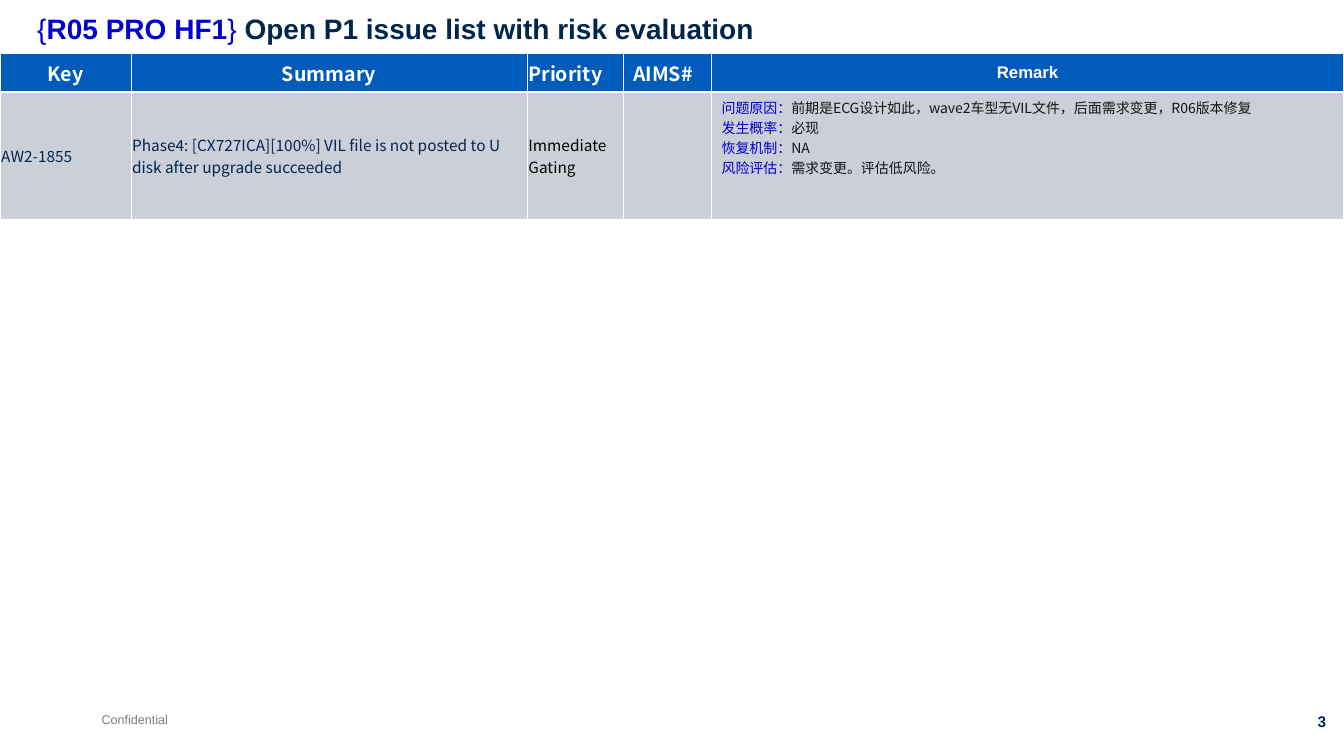
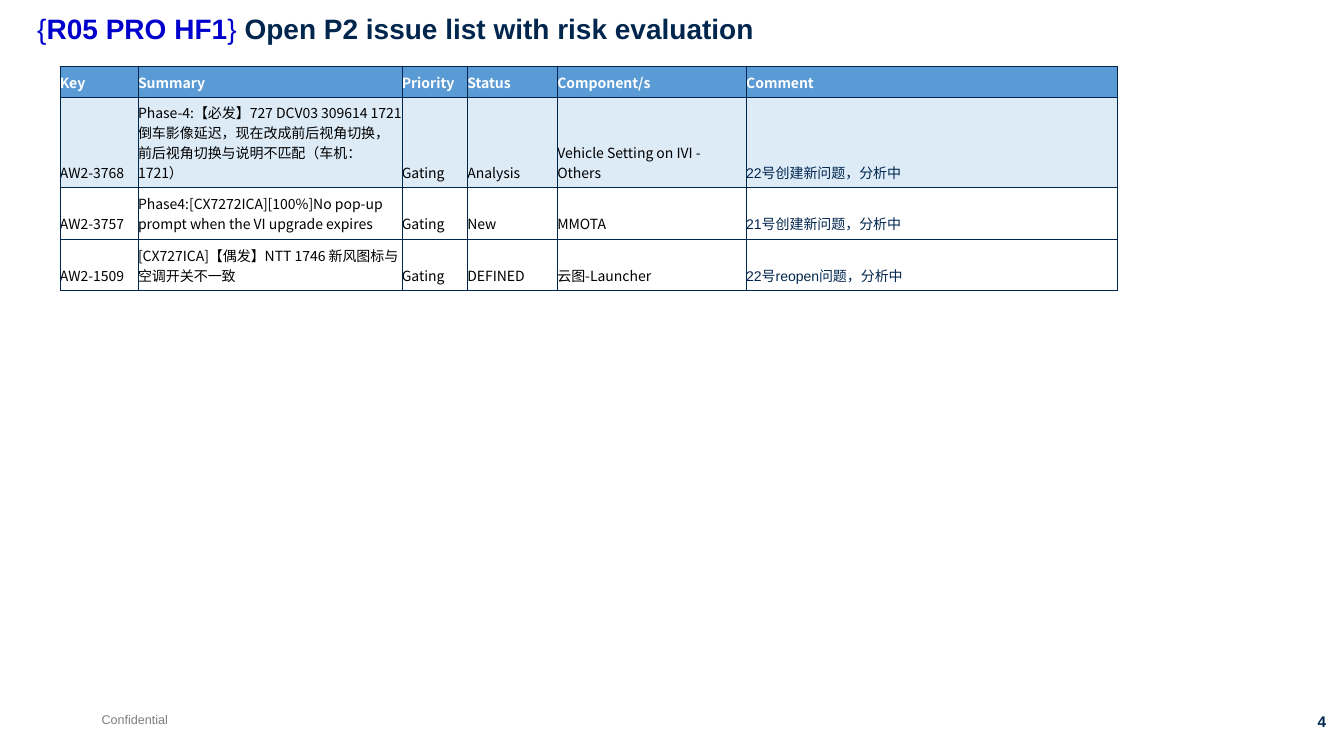
from lxml.etree import SubElement
from pptx import Presentation
from pptx.dml.color import RGBColor
from pptx.enum.text import MSO_ANCHOR, MSO_AUTO_SIZE, PP_ALIGN
from pptx.oxml import parse_xml
from pptx.oxml.ns import nsdecls, qn
from pptx.util import Cm, Pt

NAVY = RGBColor(0x00, 0x26, 0x4E)
BRIGHT_BLUE = RGBColor(0x00, 0x00, 0xCC)
HEADER_BLUE = RGBColor(0x00, 0x5B, 0xBA)
SOFT_BLUE = RGBColor(0x5B, 0x9B, 0xD5)
PALE_BLUE = RGBColor(0xDD, 0xEB, 0xF7)
SILVER = RGBColor(0xCB, 0xCF, 0xD8)
GREY = RGBColor(0x7F, 0x7F, 0x7F)
INK = RGBColor(0x13, 0x14, 0x16)
BLACK = RGBColor(0x00, 0x00, 0x00)
WHITE = RGBColor(0xFF, 0xFF, 0xFF)

LATIN = "Arial"
CJK = "Noto Sans CJK SC"
THIN, THICK = 0.45, 1.47
PAD = 0.25


def write(frame, text, align=PP_ALIGN.LEFT, line_spacing=None, **style):
    """Fill a frame from a string, or from lines of (text, style changes) pairs."""
    lines = [[(text, {})]] if isinstance(text, str) else text
    for index, line in enumerate(lines):
        paragraph = frame.add_paragraph() if index else frame.paragraphs[0]
        paragraph.alignment = align
        if line_spacing:
            paragraph.line_spacing = line_spacing
        for words, changes in line:
            look = {"font": LATIN, "bold": False, "color": NAVY, **style, **changes}
            run = paragraph.add_run()
            run.text = words
            run.font.size = Pt(look["size"])
            run.font.bold = look["bold"]
            run.font.color.rgb = look["color"]
            run.font.name = look["font"]
            SubElement(run.font._element, qn("a:ea"), typeface=CJK)


def set_borders(cell, color, **widths):
    """Draw the sides L, R, T and B, each with its width in points."""
    properties = cell._tc.get_or_add_tcPr()
    for index, side in enumerate("LRTB"):
        properties.insert(index, parse_xml(
            f'<a:ln{side} {nsdecls("a")} w="{Pt(widths[side])}">'
            f'<a:solidFill><a:srgbClr val="{color}"/></a:solidFill></a:ln{side}>'))


class IssueDeck:
    def __init__(self):
        self.prs = Presentation()
        self.prs.slide_width, self.prs.slide_height = Cm(33.88), Cm(19.05)
        self.slide = None

    def box(self, left, top, width, height, text, wrap=False, **style):
        frame = self.slide.shapes.add_textbox(
            Cm(left), Cm(top), Cm(width), Cm(height)).text_frame
        frame.word_wrap = wrap
        frame.auto_size = MSO_AUTO_SIZE.NONE if wrap else MSO_AUTO_SIZE.SHAPE_TO_FIT_TEXT
        write(frame, text, **style)

    def new_slide(self, number, title):
        self.slide = self.prs.slides.add_slide(self.prs.slide_layouts[6])
        self.box(2.31, 17.81, 2.18, 0.64, "Confidential", size=9, color=GREY)
        self.box(31.29, 17.81, 2.39, 0.74, str(number), size=11, bold=True,
                 align=PP_ALIGN.RIGHT)
        heading = [("{", {"color": BRIGHT_BLUE}),
                   ("R05 PRO HF1", {"color": BRIGHT_BLUE, "bold": True}),
                   ("} ", {"color": BRIGHT_BLUE}),
                   (title, {"bold": True})]
        self.box(0.69, 0.25, 30.1, 1.6, [heading], wrap=True, size=20, line_spacing=0.9)

    def table(self, left, top, widths, heights, rows, fills, style_of, border, rule):
        """style_of(row, column) gives anchor, side margin and text style of a cell;
        rule is the width of the line under the header."""
        grid = self.slide.shapes.add_table(
            len(rows), len(widths), Cm(left), Cm(top),
            Cm(sum(widths)), Cm(sum(heights))).table
        grid.horz_banding = False
        for column, width in zip(grid.columns, widths):
            column.width = Cm(width)
        for row, height in zip(grid.rows, heights):
            row.height = Cm(height)
        for r, (texts, fill) in enumerate(zip(rows, fills)):
            for c, text in enumerate(texts):
                cell = grid.cell(r, c)
                anchor, margin, style = style_of(r, c)
                cell.vertical_anchor = anchor
                cell.margin_left = cell.margin_right = Cm(margin)
                if fill is None:
                    cell.fill.background()
                else:
                    cell.fill.solid()
                    cell.fill.fore_color.rgb = fill
                if text:
                    write(cell.text_frame, text, **style)
                set_borders(cell, border, L=THIN, R=THIN,
                            T=rule if r == 1 else THIN, B=rule if r == 0 else THIN)


def p1_style(row, column):
    remark = column == 4
    margin = PAD if column >= 3 else 0.03
    if row == 0:
        align = PP_ALIGN.CENTER if column in (0, 1, 4) else PP_ALIGN.LEFT
        style = dict(size=12 if remark else 14, font=LATIN if remark else CJK,
                     color=WHITE, bold=True, align=align)
        return MSO_ANCHOR.MIDDLE, margin, style
    if remark:
        return MSO_ANCHOR.TOP, margin, dict(size=10, font=CJK, color=INK)
    color = BLACK if column == 2 else NAVY
    return MSO_ANCHOR.MIDDLE, margin, dict(size=11, font=CJK, color=color)


def p2_style(row, column):
    if row == 0:
        style = dict(font=CJK, color=WHITE, bold=True)
    elif column == 5:
        style = dict(font=LATIN, color=NAVY)
    else:
        style = dict(font=CJK, color=BLACK)
    return MSO_ANCHOR.BOTTOM, 0, dict(size=10, **style)


def main():
    deck = IssueDeck()

    deck.new_slide(3, "Open P1 issue list with risk evaluation")
    remarks = [
        ("问题原因：", "前期是ECG设计如此，wave2车型无VIL文件，后面需求变更，R06版本修复"),
        ("发生概率：", "必现"),
        ("恢复机制：", "NA"),
        ("风险评估：", "需求变更。评估低风险。"),
    ]
    p1_issues = [
        ["Key", "Summary", "Priority", "AIMS#", "Remark"],
        ["AW2-1855",
         "Phase4: [CX727ICA][100%] VIL file is not posted to U disk after upgrade succeeded",
         "Immediate Gating", "",
         [[(label, {"color": BRIGHT_BLUE}), (detail, {})] for label, detail in remarks]],
    ]
    deck.table(0, 1.35, [3.3, 9.99, 2.42, 2.23, 15.93], [0.97, 3.2], p1_issues,
               [HEADER_BLUE, SILVER], p1_style, WHITE, THICK)

    deck.new_slide(4, "Open P2 issue list with risk evaluation")
    p2_issues = [
        ["Key", "Summary", "Priority", "Status", "Component/s", "Comment"],
        ["AW2-3768",
         "Phase-4:【必发】727 DCV03 309614 1721倒车影像延迟，现在改成前后视角切换，"
         "前后视角切换与说明不匹配（车机：1721）",
         "Gating", "Analysis", "Vehicle Setting on IVI - Others", "22号创建新问题，分析中"],
        ["AW2-3757",
         "Phase4:[CX7272ICA][100%]No pop-up prompt when the VI upgrade expires",
         "Gating", "New", "MMOTA", "21号创建新问题，分析中"],
        ["AW2-1509", "[CX727ICA]【偶发】NTT 1746 新风图标与空调开关不一致",
         "Gating", "DEFINED", "云图-Launcher", "22号reopen问题，分析中"],
    ]
    deck.table(1.51, 1.67, [1.97, 6.65, 1.65, 2.27, 4.76, 9.35], [0.78, 2.28, 1.29, 1.3],
               p2_issues, [SOFT_BLUE, PALE_BLUE, None, None], p2_style, NAVY, THIN)

    deck.prs.save("out.pptx")


if __name__ == "__main__":
    main()
